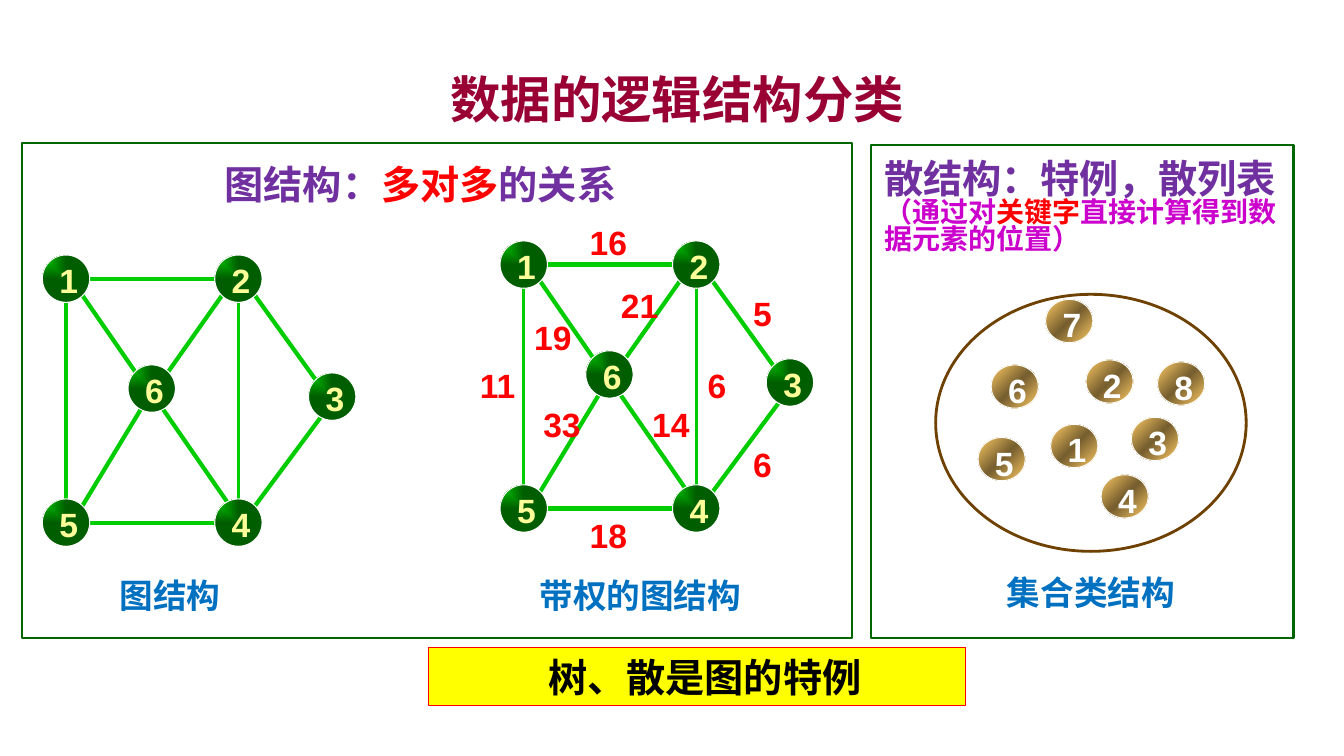
from dataclasses import dataclass

from lxml.etree import SubElement
from pptx import Presentation
from pptx.dml.color import RGBColor
from pptx.enum.shapes import MSO_CONNECTOR, MSO_SHAPE
from pptx.enum.text import MSO_ANCHOR, PP_ALIGN
from pptx.oxml import parse_xml
from pptx.oxml.ns import nsdecls, qn
from pptx.util import Inches, Pt


@dataclass(frozen=True)
class Theme:
    cjk: str = "Noto Sans CJK SC"
    latin: str = "Arial"
    serif: str = "Times New Roman"
    maroon: str = "990033"
    purple: str = "7030A0"
    magenta: str = "CC00CC"
    red: str = "FF0000"
    blue: str = "0070C0"
    black: str = "000000"
    white: str = "FFFFFF"
    yellow: str = "FFFF00"
    cream: str = "FFFF99"
    frame: str = "006600"
    edge: str = "00CC00"
    rim: str = "6E4100"
    green_ball: tuple = ((0, "00CC00"), (100, "005E00"))
    gold_ball: tuple = ((0, "FFCC66"), (50, "765E2F"), (100, "FFCC66"))
    title: int = 36
    heading: int = 28
    label: int = 24
    note: int = 20


T = Theme()
W, H = Inches(13.33), Inches(7.5)
ROWS = 75
CELL = H / ROWS  # square grid cell
BALL = 4.7       # ball diameter in cells

# number: left, top from the graph's corner
NODES = {1: (0, 0), 2: (17.1, 0), 3: (26.4, 11.7),
         4: (17.1, 24.2), 5: (0, 24.2), 6: (8.5, 10.9)}
# node, port, node, port, line width, weight, weight's left and top;
# a port is given in sixths of the ball
EDGES = [
    (1, (6, 3), 2, (0, 3), 3, "16", (7.9, -2.4)),
    (1, (3, 6), 5, (3, 0), 2.25, "11", (-3, 11.8)),
    (1, (5, 5), 6, (1, 1), 3, "19", (2.4, 7)),
    (2, (1, 5), 6, (5, 1), 3, "21", (11, 3.9)),
    (2, (5, 5), 3, (1, 1), 3, "5", (24.1, 4.7)),
    (2, (3, 6), 4, (3, 0), 2.25, "6", (19.6, 11.8)),
    (3, (2, 5), 4, (5, 1), 3, "6", (24.1, 19.6)),
    (6, (4, 5), 4, (2, 1), 3, "14", (14.1, 15.7)),
    (6, (2, 5), 5, (5, 1), 3, "33", (3.3, 15.7)),
    (5, (6, 3), 4, (0, 3), 3, "18", (7.9, 26.7)),
]
# number: left, top from the set panel's corner
SET_BALLS = {1: (17.8, 27.7), 2: (21.3, 21.3), 3: (25.8, 27), 4: (22.8, 32.7),
             5: (10.6, 29), 6: (11.9, 21.8), 7: (17.3, 15.3), 8: (28.4, 21.5)}


def cells(*values):
    return [round(v * CELL) for v in values]


def inside(box, left, top, width, height):
    return box[0] + left, box[1] + top, width, height


def write(tf, paragraphs, font=T.cjk, align=PP_ALIGN.LEFT, anchor=MSO_ANCHOR.MIDDLE,
          wrap=True, spacing=None):
    """Fill a text frame; each paragraph is a list of (text, size, colour)."""
    for name, value in dict(word_wrap=wrap, vertical_anchor=anchor).items():
        setattr(tf, name, value)
    for i, runs in enumerate(paragraphs):
        p = tf.add_paragraph() if i else tf.paragraphs[0]
        p.alignment, p.line_spacing = align, spacing
        for text, size, color in runs:
            r = p.add_run()
            r.text = text
            for name, value in dict(name=font, size=Pt(size), bold=True).items():
                setattr(r.font, name, value)
            r.font.color.rgb = RGBColor.from_string(color)
            SubElement(r.font._element, qn("a:ea")).set("typeface", T.cjk)


def add_text(shapes, box, paragraphs, **style):
    write(shapes.add_textbox(*cells(*box)).text_frame, paragraphs, **style)


def add_number(shapes, left, top, text, color):
    add_text(shapes, (left, top, 2 + 1.9 * len(text), 5), [[(text, T.label, color)]],
             font=T.latin, anchor=MSO_ANCHOR.TOP, wrap=False)


def add_outlined(shapes, kind, box, fill, line, width):
    sp = shapes.add_shape(kind, *cells(*box))
    sp.shadow.inherit = False
    if fill:
        sp.fill.solid()
        sp.fill.fore_color.rgb = RGBColor.from_string(fill)
    else:
        sp.fill.background()
    sp.line.color.rgb = RGBColor.from_string(line)
    sp.line.width = Pt(width)
    return sp


def add_ball(shapes, left, top, height, number, stops, direction, color):
    sp = add_outlined(shapes, MSO_SHAPE.OVAL, (left, top, BALL, height), T.white, T.white, 0.75)
    gs = "".join(f'<a:gs pos="{pos * 1000}"><a:srgbClr val="{c}"/></a:gs>' for pos, c in stops)
    gradient = parse_xml(f'<a:gradFill {nsdecls("a")} rotWithShape="1">'
                         f'<a:gsLst>{gs}</a:gsLst>{direction}</a:gradFill>')
    spPr = sp._element.spPr
    spPr.replace(spPr.find(qn("a:solidFill")), gradient)
    add_number(shapes, left + 0.7, top, str(number), color)


def add_graph(shapes, left, top, weighted):
    def port(node, sixths):
        return [o + n + s * BALL / 6 for o, n, s in zip((left, top), NODES[node], sixths)]

    for a, port_a, b, port_b, width, _, _ in EDGES:
        c = shapes.add_connector(MSO_CONNECTOR.STRAIGHT,
                                 *cells(*port(a, port_a), *port(b, port_b)))
        c.line.color.rgb = RGBColor.from_string(T.edge)
        c.line.width = Pt(width)
        SubElement(c._element.spPr, qn("a:effectLst"))
    corner = '<a:path path="rect"><a:fillToRect r="100000" b="100000"/></a:path>'
    for number, (x, y) in NODES.items():
        add_ball(shapes, left + x, top + y, BALL, number, T.green_ball, corner, T.cream)
    if weighted:
        for *_, weight, (x, y) in EDGES:
            add_number(shapes, left + x, top + y, weight, T.red)


def add_caption(shapes, box, text):
    add_text(shapes, box, [[(text, T.label, T.blue)]], align=PP_ALIGN.CENTER)


def add_panel(slide, box):
    shapes = slide.shapes.add_group_shape().shapes
    add_outlined(shapes, MSO_SHAPE.RECTANGLE, box, T.white, T.frame, 1.75)
    return shapes


def graph_panel(slide, box):
    shapes = add_panel(slide, box)
    add_graph(shapes, box[0] + 2, box[1] + 11.1, weighted=False)
    add_graph(shapes, box[0] + 47.4, box[1] + 9.7, weighted=True)
    add_caption(shapes, inside(box, 5.6, 41.5, 18.1, 6.6), "图结构")
    add_caption(shapes, inside(box, 46.2, 41.5, 30.2, 6.6), "带权的图结构")
    add_text(shapes, inside(box, 19.1, 1, 55.5, 6),
             [[("图结构：", T.heading, T.purple), ("多对多", T.heading, T.red),
               ("的关系", T.heading, T.purple)]])


def set_panel(slide, box):
    shapes = add_panel(slide, box)
    for number, (x, y) in SET_BALLS.items():
        add_ball(shapes, box[0] + x, box[1] + y, 4.3, number, T.gold_ball,
                 '<a:lin ang="2700000" scaled="1"/>', T.white)
    add_outlined(shapes, MSO_SHAPE.OVAL, inside(box, 6.4, 14.8, 30.8, 25.5), None, T.rim, 2)
    add_caption(shapes, inside(box, 8, 41.2, 27.6, 6.2), "集合类结构")
    add_text(shapes, inside(box, 0.3, 0.6, 42, 11.5),
             [[("散结构：特例，散列表", T.heading, T.purple)],
              [("（通过对", T.note, T.magenta), ("关键字", T.note, T.red),
               ("直接计算得到数据元素的位置）", T.note, T.magenta)]], spacing=0.8)


def title(slide, box):
    sp = slide.shapes.title
    sp.left, sp.top, sp.width, sp.height = cells(*box)
    write(sp.text_frame, [[("数据的逻辑结构分类", T.title, T.maroon)]], align=PP_ALIGN.CENTER)


def banner(slide, box):
    sp = add_outlined(slide.shapes, MSO_SHAPE.RECTANGLE, box, T.yellow, T.red, 0.75)
    sp.text_frame.margin_left = Inches(0.25)
    write(sp.text_frame, [[("树、散是图的特例", T.heading, T.black)]],
          font=T.serif, align=PP_ALIGN.CENTER)


def main():
    prs = Presentation()
    prs.slide_width, prs.slide_height = W, H
    slide = prs.slides.add_slide(prs.slide_layouts[5])
    title(slide, (2.5, 6, 129.3, 7.5))
    graph_panel(slide, (2.2, 14.2, 82.3, 49.1))
    set_panel(slide, (86.4, 14.4, 41.9, 48.9))
    banner(slide, (42.5, 64.2, 53.3, 5.8))
    prs.save("out.pptx")


if __name__ == "__main__":
    main()
